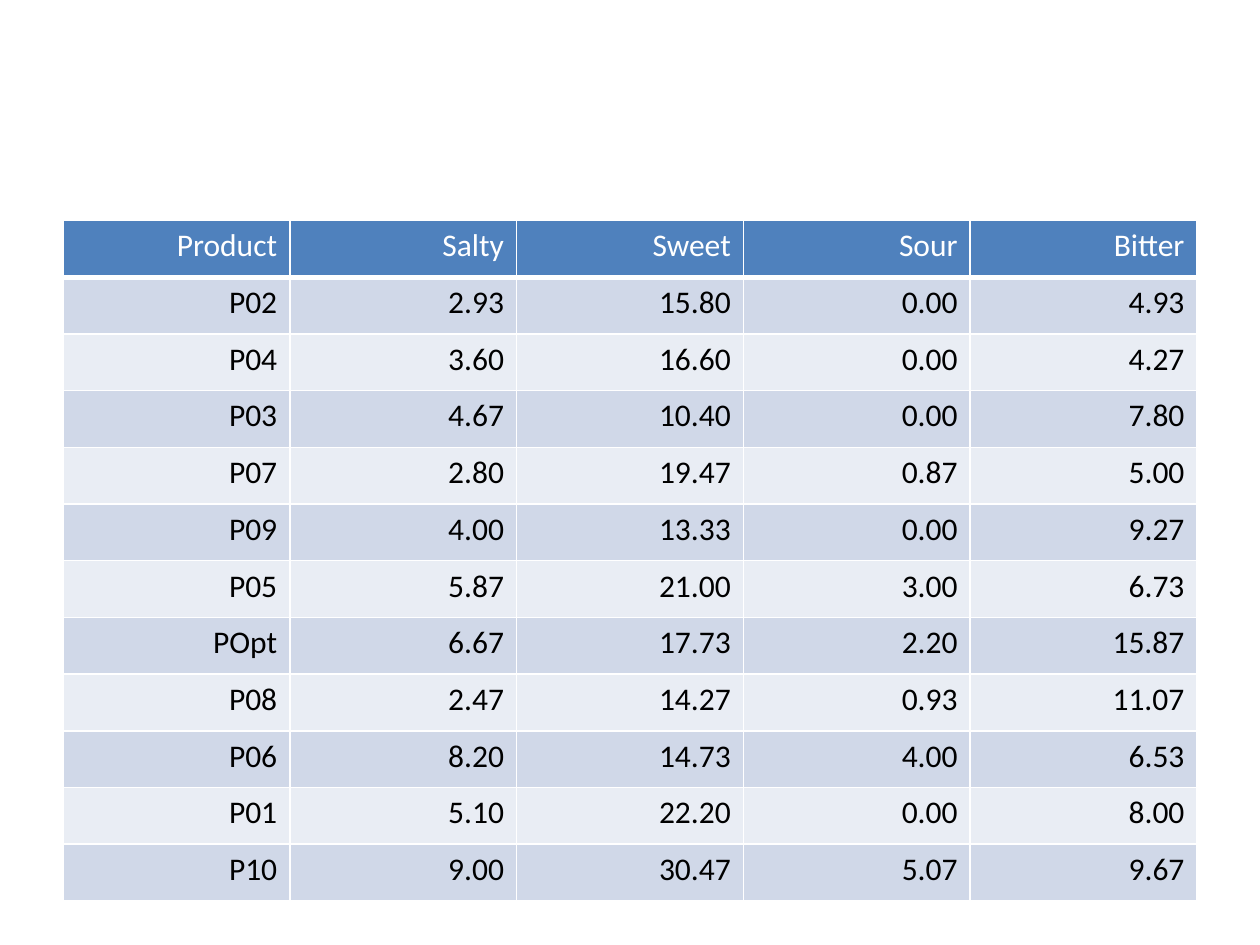
"""Build a slide with a table of taste scores per product."""
from typing import NamedTuple

from lxml import etree
from pptx import Presentation
from pptx.dml.color import RGBColor
from pptx.enum.text import PP_ALIGN
from pptx.oxml.ns import qn
from pptx.util import Inches, Pt

RIGHT = PP_ALIGN.RIGHT
WHITE = RGBColor(0xFF, 0xFF, 0xFF)
BLACK = RGBColor(0x00, 0x00, 0x00)
HEADER_BLUE = RGBColor(0x4F, 0x81, 0xBD)
DARK_BAND = RGBColor(0xD0, 0xD8, 0xE8)
LIGHT_BAND = RGBColor(0xE9, 0xED, 0xF4)
FONT_NAME = "Calibri"
FONT_SIZE = Pt(18)
COLUMN_WIDTH = Inches(1.8)
ROW_HEIGHT = Inches(0.45)


class ProductScore(NamedTuple):
    product: str
    salty: str
    sweet: str
    sour: str
    bitter: str


class RowStyle(NamedTuple):
    fill: RGBColor
    text: RGBColor
    bottom_border: float


HEADINGS = ProductScore("Product", "Salty", "Sweet", "Sour", "Bitter")
SCORES = [
    ProductScore("P02", "2.93", "15.80", "0.00", "4.93"),
    ProductScore("P04", "3.60", "16.60", "0.00", "4.27"),
    ProductScore("P03", "4.67", "10.40", "0.00", "7.80"),
    ProductScore("P07", "2.80", "19.47", "0.87", "5.00"),
    ProductScore("P09", "4.00", "13.33", "0.00", "9.27"),
    ProductScore("P05", "5.87", "21.00", "3.00", "6.73"),
    ProductScore("POpt", "6.67", "17.73", "2.20", "15.87"),
    ProductScore("P08", "2.47", "14.27", "0.93", "11.07"),
    ProductScore("P06", "8.20", "14.73", "4.00", "6.53"),
    ProductScore("P01", "5.10", "22.20", "0.00", "8.00"),
    ProductScore("P10", "9.00", "30.47", "5.07", "9.67"),
]
HEADER_STYLE = RowStyle(HEADER_BLUE, WHITE, 3)
BAND_STYLES = [RowStyle(DARK_BAND, BLACK, 1), RowStyle(LIGHT_BAND, BLACK, 1)]


def add_borders(cell, bottom_width: float) -> None:
    properties = cell._tc.get_or_add_tcPr()
    widths = {"a:lnL": 1, "a:lnR": 1, "a:lnT": 1, "a:lnB": bottom_width}
    for side, width in widths.items():
        border = etree.SubElement(properties, qn(side), w=str(Pt(width)))
        border_fill = etree.SubElement(border, qn("a:solidFill"))
        etree.SubElement(border_fill, qn("a:srgbClr"), val=str(WHITE))


def fill_row(row, score: ProductScore, style: RowStyle) -> None:
    row.height = ROW_HEIGHT
    for cell, text in zip(row.cells, score):
        add_borders(cell, style.bottom_border)
        cell.fill.solid()
        cell.fill.fore_color.rgb = style.fill
        cell.text = text
        paragraph = cell.text_frame.paragraphs[0]
        paragraph.alignment = RIGHT
        paragraph.font.name = FONT_NAME
        paragraph.font.size = FONT_SIZE
        paragraph.font.bold = False
        paragraph.font.color.rgb = style.text


def add_score_table(slide) -> None:
    row_count, column_count = len(SCORES) + 1, len(HEADINGS)
    table = slide.shapes.add_table(
        row_count, column_count, Inches(0.5), Inches(1.75),
        COLUMN_WIDTH * column_count, ROW_HEIGHT * row_count,
    ).table
    for column in table.columns:
        column.width = COLUMN_WIDTH
    fill_row(table.rows[0], HEADINGS, HEADER_STYLE)
    for index, score in enumerate(SCORES):
        fill_row(table.rows[index + 1], score, BAND_STYLES[index % 2])


def main() -> None:
    presentation = Presentation()
    presentation.slide_width = Inches(10)
    presentation.slide_height = Inches(7.5)
    slide = presentation.slides.add_slide(presentation.slide_layouts[6])
    add_score_table(slide)
    presentation.save("out.pptx")


if __name__ == "__main__":
    main()
